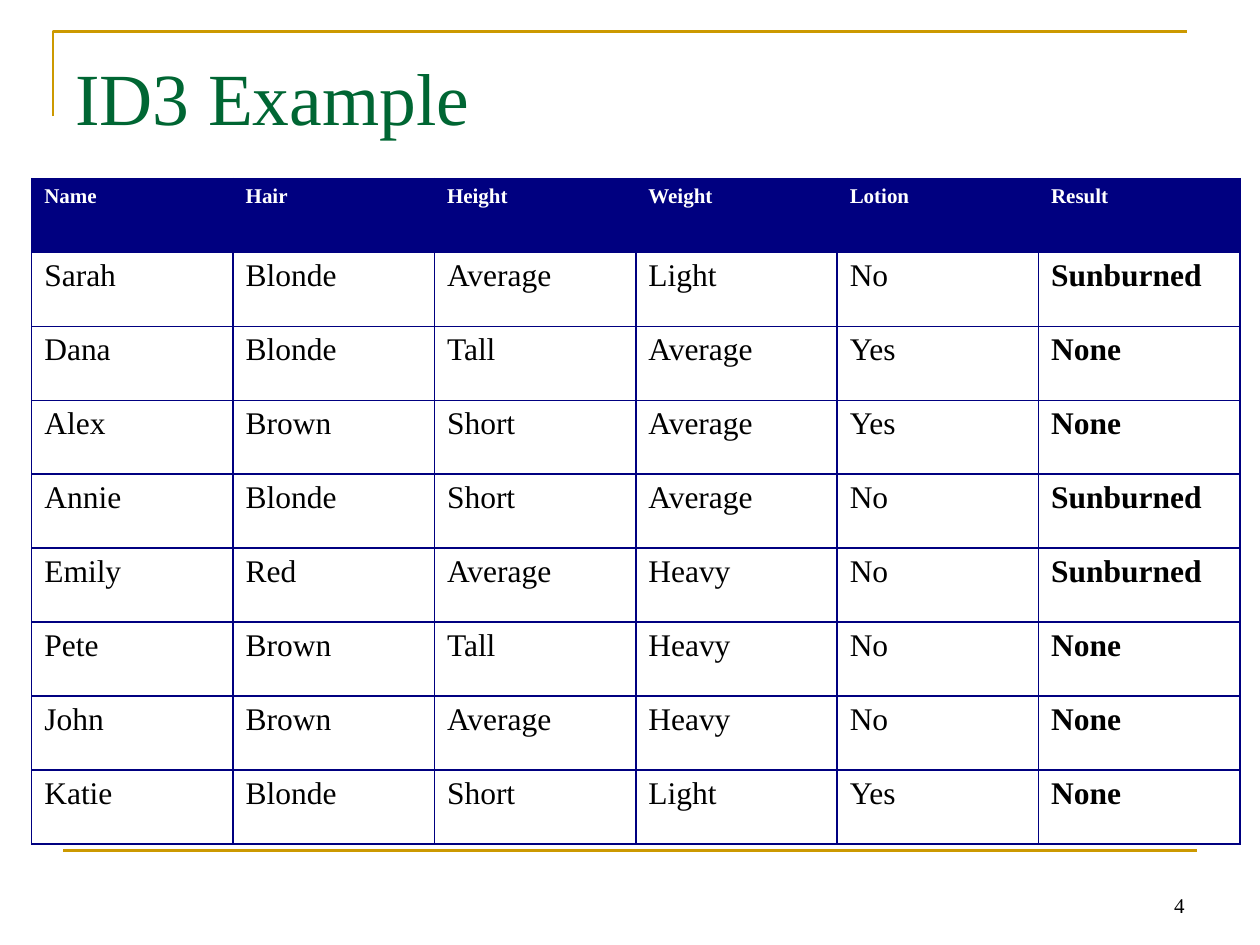
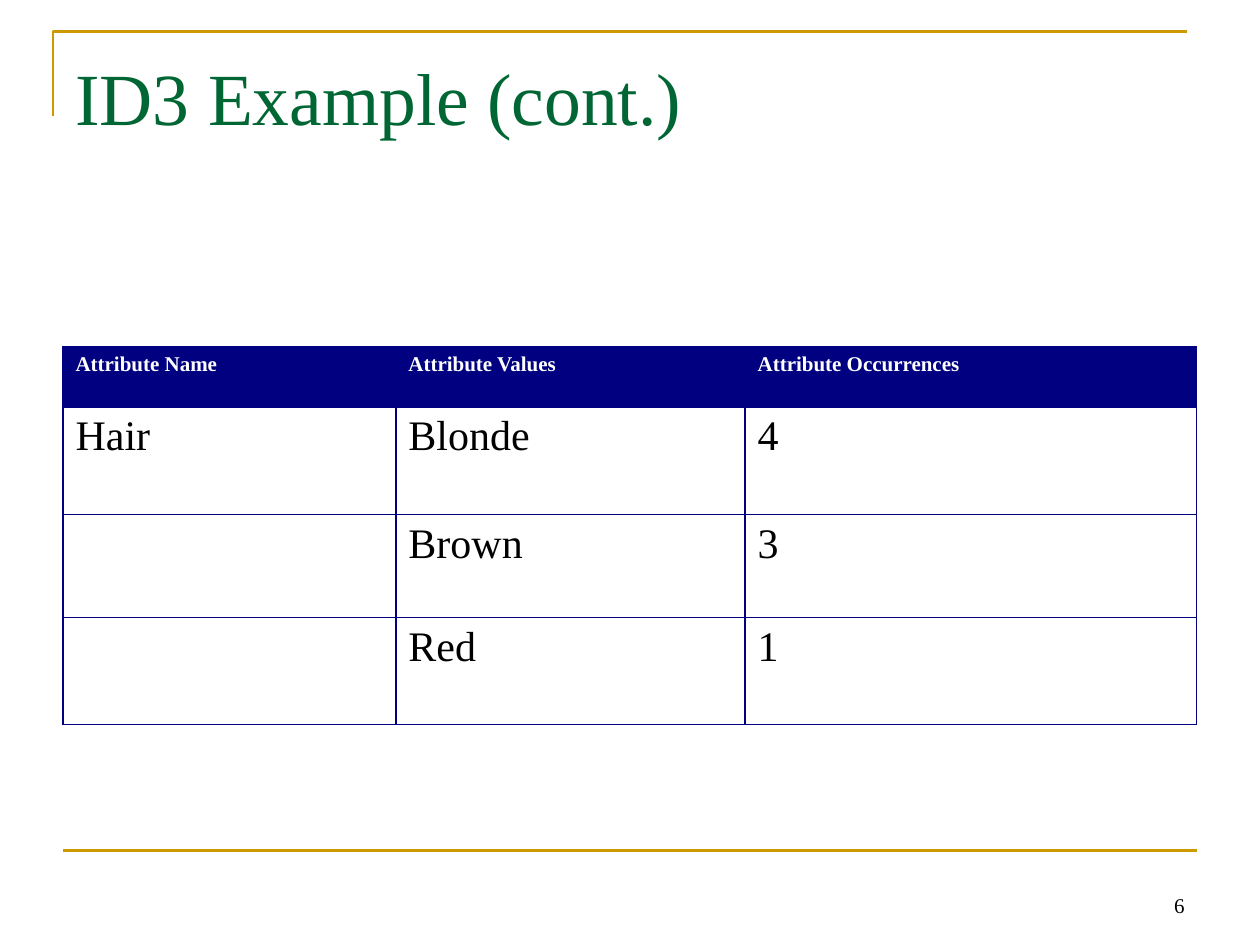
"""Build two slides that tabulate the ID3 sunburn example."""
from lxml.etree import SubElement
from pptx import Presentation
from pptx.dml.color import RGBColor
from pptx.enum.shapes import MSO_CONNECTOR
from pptx.enum.text import MSO_ANCHOR, PP_ALIGN
from pptx.oxml.ns import qn
from pptx.util import Cm, Pt

HUES = {"gold": "CC9900", "green": "006633", "navy": "000080",
        "black": "000000", "white": "FFFFFF"}
FONT = "Times New Roman"
STYLES = {
    "title": {"size": Pt(42), "bold": False, "hue": "green"},
    "page": {"size": Pt(12), "bold": False, "hue": "black"},
    "head": {"size": Pt(12), "bold": True, "hue": "white"},
}
HANG = 0.95

PEOPLE = [
    "Name Hair Height Weight Lotion Result".split(),
    "Sarah Blonde Average Light No Sunburned".split(),
    "Dana Blonde Tall Average Yes None".split(),
    "Alex Brown Short Average Yes None".split(),
    "Annie Blonde Short Average No Sunburned".split(),
    "Emily Red Average Heavy No Sunburned".split(),
    "Pete Brown Tall Heavy No None".split(),
    "John Brown Average Heavy No None".split(),
    "Katie Blonde Short Light Yes None".split(),
]
COUNTS = [
    ["Attribute Name", "Attribute Values", "Attribute Occurrences"],
    ["Hair", "Blonde", "4"],
    ["", "Brown", "3"],
    ["", "Red", "1"],
]


def color(name):
    """Return the named colour."""
    return RGBColor.from_string(HUES[name])


def write(para, text, style):
    """Add one styled run to a paragraph."""
    run = para.add_run()
    run.text = text
    run.font.name = FONT
    run.font.color.rgb = color(style["hue"])
    for key in ("size", "bold"):
        setattr(run.font, key, style[key])


def label(slide, box, text, style, **frame):
    """Place a wrapped text box and return its paragraph."""
    body = slide.shapes.add_textbox(*map(Cm, box)).text_frame
    for key, value in {"word_wrap": True, **frame}.items():
        setattr(body, key, value)
    para = body.paragraphs[0]
    write(para, text, STYLES[style])
    return para


def trim(shape):
    """Give a rule its gold line and no shadow."""
    shape.line.color.rgb = color("gold")
    shape.line.width = Pt(1.5)


def corner(slide, box):
    """Draw the open corner along the left and top of the box."""
    left, top, width, height = map(Cm, box)
    path = slide.shapes.build_freeform(left, top + height)
    path.add_line_segments([(left, top), (left + width, top)], close=False)
    shape = path.convert_to_shape()
    shape.fill.background()
    shape.shadow.inherit = False
    trim(shape)


def footer(slide, box, page):
    """Draw the rule on top of the box and the page number in it."""
    left, top, width, height = box
    rule = slide.shapes.add_connector(
        MSO_CONNECTOR.STRAIGHT, Cm(left), Cm(top), Cm(left + width), Cm(top))
    trim(rule)
    SubElement(rule._element.spPr, qn("a:effectLst"))
    wide = 5.93
    para = label(slide, (left + width - wide, top + 0.21, wide, height - 0.21),
                 page, "page", vertical_anchor=MSO_ANCHOR.BOTTOM)
    para.alignment = PP_ALIGN.RIGHT


def edge(cell):
    """Outline a cell on all four sides."""
    props = cell._tc.get_or_add_tcPr()
    for spot, side in enumerate(("lnL", "lnR", "lnT", "lnB")):
        line = props.makeelement(qn(f"a:{side}"), {"w": str(Pt(1))})
        fill = SubElement(line, qn("a:solidFill"))
        SubElement(fill, qn("a:srgbClr"), val=HUES["navy"])
        props.insert(spot, line)


def fill_cell(cell, text, style, head):
    """Style one cell and write its text with a hanging indent."""
    if head:
        cell.fill.solid()
        cell.fill.fore_color.rgb = color("navy")
    else:
        cell.fill.background()
    edge(cell)
    para = cell.text_frame.paragraphs[0]
    para.alignment = PP_ALIGN.JUSTIFY
    props = para._p.get_or_add_pPr()
    for key, value in {"marL": HANG, "indent": -HANG}.items():
        props.set(key, str(Cm(value)))
    if text:
        write(para, text, style)


def grid(slide, spot, data, cols, rows, size, strong=None):
    """Place a table at a spot; the strong column is bold."""
    box = (*spot, sum(cols), sum(rows))
    table = slide.shapes.add_table(len(rows), len(cols), *map(Cm, box)).table
    table.horz_banding = False
    for col, width in zip(table.columns, cols):
        col.width = Cm(width)
    for r, (row, height) in enumerate(zip(table.rows, rows)):
        row.height = Cm(height)
        for c, cell in enumerate(row.cells):
            body = {"size": Pt(size), "bold": c == strong, "hue": "black"}
            style = body if r else STYLES["head"]
            fill_cell(cell, data[r][c], style, head=r == 0)


def page(deck, title, number):
    """Add a slide with the shared rules, page number and title."""
    slide = deck.slides.add_slide(deck.slide_layouts[6])
    corner(slide, (1.07, 0.64, 22.86, 1.7))
    footer(slide, (1.27, 17.15, 22.86, 1.48), number)
    label(slide, (1.27, 0.76, 22.86, 3.18), title, "title",
          margin_top=Cm(0.29))
    return slide


def main():
    """Build and save the deck."""
    deck = Presentation()
    deck.slide_width, deck.slide_height = Cm(25.4), Cm(19.05)
    grid(page(deck, "ID3 Example", "4"), (0.64, 3.6), PEOPLE,
         [4.06] * 6, [1.49] * 9, 18, strong=5)
    grid(page(deck, "ID3 Example (cont.)", "6"), (1.27, 6.99), COUNTS,
         [6.71, 7.04, 9.1], [1.22, 2.16, 2.08, 2.16], 24)
    deck.save("out.pptx")


if __name__ == "__main__":
    main()
